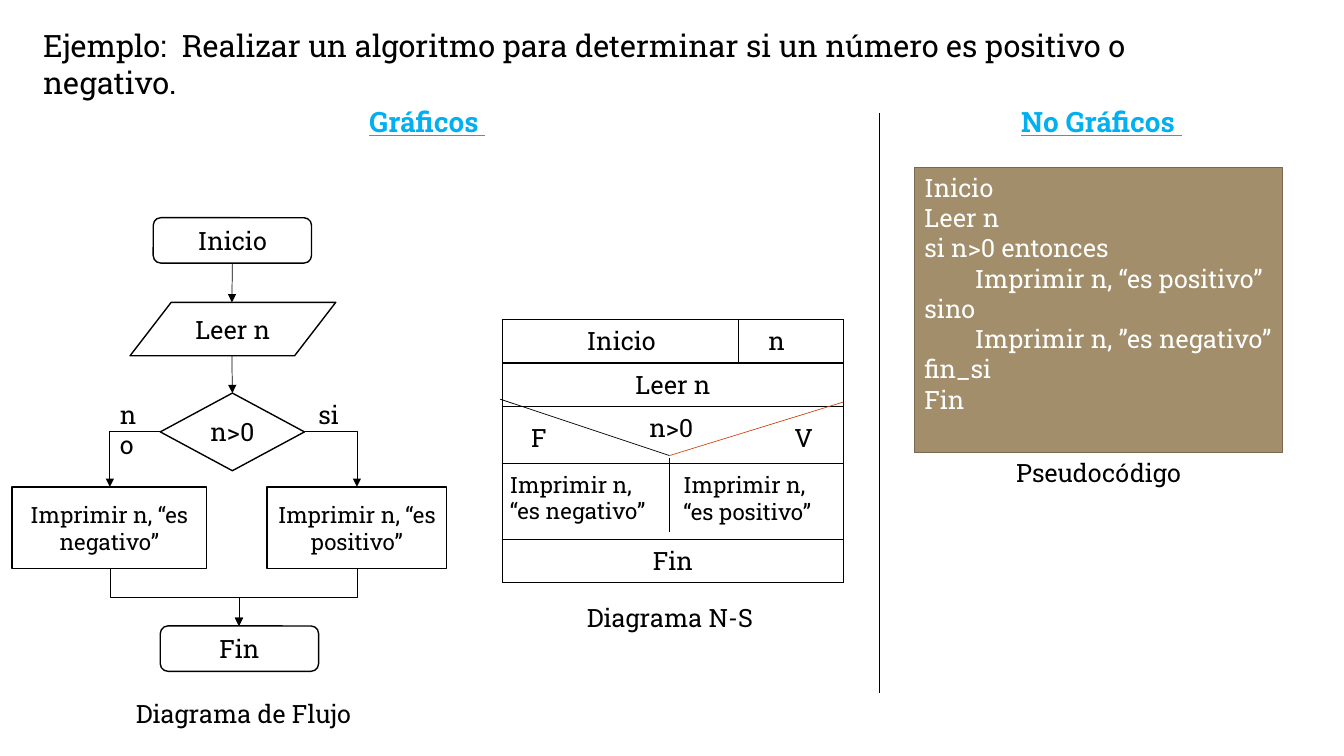
from dataclasses import dataclass

from lxml import etree
from pptx import Presentation
from pptx import util as u
from pptx.dml.color import RGBColor
from pptx.enum import shapes, text
from pptx.oxml import ns

FONT = "Roboto Slab"
COLORS = {
    "ink": "000000", "paper": "FFFFFF", "heading": "00B0F0",
    "panel": "A28E6A", "panel_edge": "78694E", "accent": "D34817",
}
Kind = shapes.MSO_SHAPE
Align = text.PP_ALIGN
Point = tuple[float, float]


@dataclass
class Label:
    words: str
    left: float
    top: float
    width: float
    height: float = 0.4
    size: int = 18
    align: Align = Align.CENTER
    heading: bool = False


@dataclass
class Step:
    words: str
    kind: Kind
    left: float
    top: float
    width: float
    height: float
    size: int = 18


@dataclass
class Line:
    start: Point
    end: Point
    color: str = "ink"


@dataclass
class Row:
    words: str
    height: float
    align: Align = Align.CENTER
    indent: float = 0.1


def rgb(name: str) -> RGBColor:
    return RGBColor.from_string(COLORS[name])


def style(para, size: int, align: Align, color: str = "ink") -> None:
    para.alignment = align
    para.font.name = FONT
    para.font.size = u.Pt(size)
    para.font.color.rgb = rgb(color)


def add_label(page, label: Label) -> None:
    box = page.shapes.add_textbox(*map(u.Inches, (label.left, label.top, label.width, label.height)))
    box.text_frame.word_wrap = True
    para = box.text_frame.paragraphs[0]
    para.text = label.words
    style(para, label.size, label.align, "heading" if label.heading else "ink")
    if label.heading:
        para.font.bold = para.font.underline = True


def add_outline(page, kind: Kind, frame: tuple, edge: str, fill: str):
    shape = page.shapes.add_shape(kind, *map(u.Inches, frame))
    shape.shadow.inherit = False
    shape.fill.solid()
    shape.fill.fore_color.rgb = rgb(fill)
    shape.line.color.rgb = rgb(edge)
    shape.line.width = u.Pt(1)
    shape.text_frame.word_wrap = True
    return shape


def add_step(page, step: Step):
    frame = (step.left, step.top, step.width, step.height)
    shape = add_outline(page, step.kind, frame, "ink", "paper")
    shape.text_frame.vertical_anchor = text.MSO_ANCHOR.MIDDLE
    para = shape.text_frame.paragraphs[0]
    para.text = step.words
    style(para, step.size, Align.CENTER)
    return shape


def add_line(page, line: Line, arrow: bool = False, kind=shapes.MSO_CONNECTOR.STRAIGHT):
    connector = page.shapes.add_connector(kind, *map(u.Inches, line.start + line.end))
    connector.line.color.rgb = rgb(line.color)
    connector.line.width = u.Pt(0.5)
    if arrow:
        etree.SubElement(connector.line._get_or_add_ln(), ns.qn("a:tailEnd"), type="triangle")
    etree.SubElement(connector._element.spPr, ns.qn("a:effectLst"))
    return connector


def add_branch(page, start: Point, end: Point) -> None:
    """Arrow that runs sideways, then down."""
    connector = add_line(page, Line(start, end), True, shapes.MSO_CONNECTOR.ELBOW)
    connector._element.spPr.find(ns.qn("a:prstGeom")).set("prst", "bentConnector2")


def add_merge(page, start: Point, end: Point) -> None:
    """Arrow that runs down, sideways and down: an elbow turned a quarter."""
    middle_x, middle_y = (start[0] + end[0]) / 2, (start[1] + end[1]) / 2
    half_width, half_height = (end[1] - start[1]) / 2, abs(end[0] - start[0]) / 2
    side = 1 if end[0] > start[0] else -1
    turned = Line((middle_x + side * half_width, middle_y - half_height),
                  (middle_x - side * half_width, middle_y + half_height))
    connector = add_line(page, turned, True, shapes.MSO_CONNECTOR.ELBOW)
    degrees = 270 if side > 0 else 90
    connector._element.spPr.find(ns.qn("a:xfrm")).set("rot", str(degrees * 60000))


def add_borders(cell) -> None:
    properties = cell._tc.get_or_add_tcPr()
    for index, side in enumerate(("lnL", "lnR", "lnT", "lnB")):
        border = etree.Element(ns.qn(f"a:{side}"), w=str(u.Pt(1)))
        fill = etree.SubElement(border, ns.qn("a:solidFill"))
        etree.SubElement(fill, ns.qn("a:srgbClr"), val=COLORS["ink"])
        properties.insert(index, border)


def add_ns_table(page, rows: list[Row]) -> None:
    height = sum(row.height for row in rows)
    frame = map(u.Inches, (4.98, 3.17, 3.39, height))
    table = page.shapes.add_table(len(rows), 1, *frame).table
    table.first_row = table.horz_banding = False
    for index, row in enumerate(rows):
        table.rows[index].height = u.Inches(row.height)
        cell = table.cell(index, 0)
        cell.fill.background()
        cell.margin_left = u.Inches(row.indent)
        para = cell.text_frame.paragraphs[0]
        para.text = row.words
        style(para, 18, row.align)
        if "\t" in row.words:
            tabs = etree.Element(ns.qn("a:tabLst"))
            etree.SubElement(tabs, ns.qn("a:tab"), pos=str(u.Inches(1.8)), algn="l")
            para._p.get_or_add_pPr().find(ns.qn("a:defRPr")).addprevious(tabs)
        add_borders(cell)


def add_pseudocode(page, code: list[tuple[int, str]]) -> None:
    panel = add_outline(page, Kind.RECTANGLE, (9.07, 1.66, 3.65, 2.83), "panel_edge", "panel")
    frame = panel.text_frame
    frame.vertical_anchor = text.MSO_ANCHOR.TOP
    frame.margin_right = u.Inches(0.05)
    for index, (level, words) in enumerate(code):
        para = frame.add_paragraph() if index else frame.paragraphs[0]
        para.text = words
        style(para, 18, Align.LEFT, "paper")
        para._p.get_or_add_pPr().set("marL", str(u.Inches(0.5 * level)))


LABELS = [
    Label("Ejemplo:  Realizar un algoritmo para determinar si un número es positivo o negativo.",
          0.33, 0.22, 12.26, 0.47, 22, Align.LEFT),
    Label("Gráficos ", 0.12, 0.99, 8.24, 0.44, 20, heading=True),
    Label("No Gráficos ", 8.72, 0.99, 4.41, 0.44, 20, heading=True),
    Label("Diagrama de Flujo", -0.1, 6.88, 5.03),
    Label("Diagrama N-S", 4.93, 5.93, 3.43),
    Label("Pseudocódigo", 9.07, 4.49, 3.65),
    Label("no", 1.09, 3.91, 0.49, align=Align.LEFT),
    Label("si", 3.06, 3.91, 0.49, align=Align.LEFT),
    Label("F", 5.17, 4.14, 0.53, align=Align.LEFT),
    Label("V", 7.78, 4.14, 0.53, align=Align.LEFT),
    Label("Imprimir n, “es negativo”", 4.96, 4.62, 1.67, 0.64, 16, Align.LEFT),
    Label("Imprimir n, “es positivo”", 6.68, 4.63, 1.67, 0.64, 16, Align.LEFT),
]
STEPS = {
    "start": Step("Inicio", Kind.ROUNDED_RECTANGLE, 1.52, 2.16, 1.57, 0.45),
    "read": Step("Leer n", Kind.FLOWCHART_DATA, 1.29, 3, 2.04, 0.53),
    "test": Step("n>0", Kind.DIAMOND, 1.59, 3.9, 1.43, 0.77),
    "positive": Step("Imprimir n, “es positivo”", Kind.RECTANGLE, 2.65, 4.83, 1.78, 0.81, 16),
    "negative": Step("Imprimir n, “es negativo”", Kind.RECTANGLE, 0.12, 4.83, 1.93, 0.81, 16),
    "end": Step("Fin", Kind.ROUNDED_RECTANGLE, 1.59, 6.21, 1.57, 0.45),
}
NS_ROWS = [Row("Inicio\tn", 0.41, Align.LEFT, 0.84), Row("Leer n", 0.41),
           Row("n>0", 0.57, Align.LEFT, 1.46), Row("", 0.75), Row("Fin", 0.41)]
LINES = [
    Line((7.32, 3.17), (7.32, 3.59)),
    Line((4.96, 3.96), (6.64, 4.52)),
    Line((8.36, 3.99), (6.64, 4.52), "accent"),
    Line((6.64, 4.54), (6.64, 5.28)),
    Line((8.72, 1.12), (8.72, 6.88)),
]
CODE = [(0, "Inicio"), (0, "Leer n"), (0, "si n>0 entonces"), (1, "Imprimir n, “es positivo”"),
        (0, "sino"), (1, "Imprimir n, ”es negativo”"), (0, "fin_si"), (0, "Fin")]


def main() -> None:
    deck = Presentation()
    deck.slide_width, deck.slide_height = u.Inches(13.33), u.Inches(7.5)
    page = deck.slides.add_slide(deck.slide_layouts[6])

    # Flowchart
    steps = {name: add_step(page, step) for name, step in STEPS.items()}
    add_line(page, Line((2.3, 2.61), (2.3, 3)), True).begin_connect(steps["start"], 2)
    add_line(page, Line((2.3, 3.53), (2.3, 3.9)), True).end_connect(steps["test"], 0)
    for corner, middle in ((1.59, 1.09), (3.02, 3.54)):
        add_branch(page, (corner, 4.28), (middle, 4.83))
        add_merge(page, (middle, 5.64), (2.37, 6.21))

    # N-S diagram, dividers and pseudocode
    add_ns_table(page, NS_ROWS)
    for line in LINES:
        add_line(page, line)
    add_pseudocode(page, CODE)

    # Title, headings and captions
    for label in LABELS:
        add_label(page, label)
    deck.save("out.pptx")


if __name__ == "__main__":
    main()
